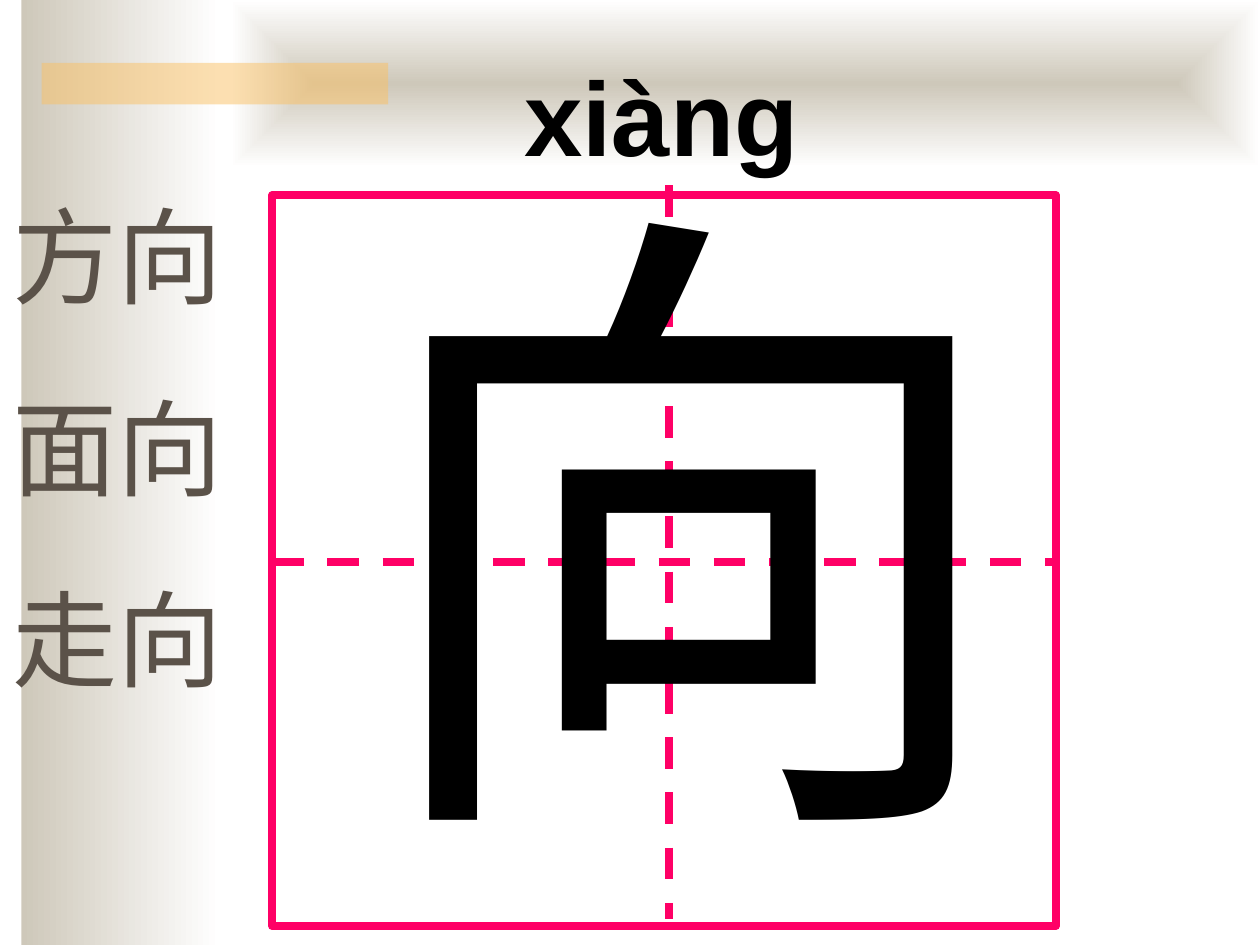
from lxml import etree
from pptx import Presentation
from pptx import util as u
from pptx.dml.color import RGBColor
from pptx.enum import dml, shapes, text
from pptx.oxml import ns

PINYIN = "xiàng"
CHARACTER = "向"
WORDS = ["方向", "面向", "走向"]
SAND, WHITE, AMBER = "CEC8BA", "FFFFFF", "FAC164"
BROWN, PINK, BLACK = "5B5249", "FF0066", "000000"

SIDE_BAND = (0.17, 0, 1.58, 7.5)
TOP_BAND = (1.83, 0, 8.17, 1.33)
ACCENT_BAR = (0.33, 0.5, 2.75, 0.33)
FRAME = (2.16, 1.55, 6.22, 5.8)
GUIDES = [
    ((1.85, 4.46, 1.85, 4.46), BROWN, 0.75, None),
    ((2.16, 4.46, 8.39, 4.46), PINK, 4.5, dml.MSO_LINE.DASH),
    ((5.31, 1.47, 5.31, 7.29), PINK, 4.5, dml.MSO_LINE.DASH),
]
PINYIN_FORMAT = {"size": u.Pt(60), "name": "Arial", "bold": True}
CHARACTER_FORMAT = {"size": u.Pt(370), "name": "Times New Roman"}
WORD_FORMAT = {"size": u.Pt(60), "name": "Arial"}


def color(value):
    return RGBColor.from_string(value)


def add_child(parent, tag, **attributes):
    return etree.SubElement(parent, ns.qn(tag), **attributes)


def add_rectangle(slide, box):
    shape = slide.shapes.add_shape(shapes.MSO_SHAPE.RECTANGLE, *map(u.Inches, box))
    shape.shadow.inherit = False
    shape.line.fill.background()
    return shape


def add_gradient_band(slide, box):
    fill = add_rectangle(slide, box).fill
    fill.gradient()
    fill.gradient_angle = 0
    for stop, value in zip(fill.gradient_stops, (SAND, WHITE)):
        stop.color.rgb = color(value)
    return fill


def make_rectangular(shape):
    linear = shape.element.spPr.find(".//" + ns.qn("a:lin"))
    gradient = linear.getparent()
    gradient.remove(linear)
    path = add_child(gradient, "a:path", path="rect")
    add_child(path, "a:fillToRect", l="50000", t="50000", r="50000", b="50000")


def add_guide(slide, ends, value, width, dash):
    line = slide.shapes.add_connector(shapes.MSO_CONNECTOR.STRAIGHT, *map(u.Inches, ends))
    line.line.color.rgb = color(value)
    line.line.width = u.Pt(width)
    if dash:
        line.line.dash_style = dash
    add_child(line.element.spPr, "a:effectLst")


def write(shape, box, lines, value, formats, wrap=True, gap=0):
    shape.left, shape.top, shape.width, shape.height = map(u.Inches, box)
    shape.element.getparent().append(shape.element)
    frame = shape.text_frame
    frame.text = "\n".join(lines)
    frame.word_wrap = wrap
    frame.auto_size = text.MSO_AUTO_SIZE.NONE
    frame.vertical_anchor = text.MSO_ANCHOR.TOP
    for index, paragraph in enumerate(frame.paragraphs):
        paragraph.alignment = text.PP_ALIGN.LEFT
        paragraph.space_before = u.Pt(gap if index else 0)
        properties = paragraph._p.get_or_add_pPr()
        properties.set("marL", "0")
        properties.set("indent", "0")
        add_child(properties, "a:buNone")
        for name, setting in formats.items():
            setattr(paragraph.font, name, setting)
        paragraph.font.color.rgb = color(value)


def main():
    presentation = Presentation()
    presentation.slide_width = u.Inches(10)
    presentation.slide_height = u.Inches(7.5)
    slide = presentation.slides.add_slide(presentation.slide_layouts[1])
    title, body = slide.placeholders

    add_gradient_band(slide, SIDE_BAND)
    add_gradient_band(slide, TOP_BAND)
    make_rectangular(slide.shapes[-1])

    accent = add_rectangle(slide, ACCENT_BAR)
    accent.fill.solid()
    accent.fill.fore_color.rgb = color(AMBER)
    add_child(accent.element.spPr.find(".//" + ns.qn("a:srgbClr")), "a:alpha", val="50000")

    write(title, (4.06, 0.36, 3.23, 1.1), [PINYIN], BLACK, PINYIN_FORMAT)

    frame = add_rectangle(slide, FRAME)
    frame.fill.background()
    frame.line.color.rgb = color(PINK)
    frame.line.width = u.Pt(4.5)
    for guide in GUIDES:
        add_guide(slide, *guide)

    character = slide.shapes.add_textbox(0, 0, 0, 0)
    write(character, (2.8, 0.91, 5.34, 6.27), [CHARACTER], BLACK, CHARACTER_FORMAT, wrap=False)
    write(body, (0, 1.47, 2.05, 5.67), WORDS, BROWN, WORD_FORMAT, gap=37.5)
    presentation.save("out.pptx")


if __name__ == "__main__":
    main()
